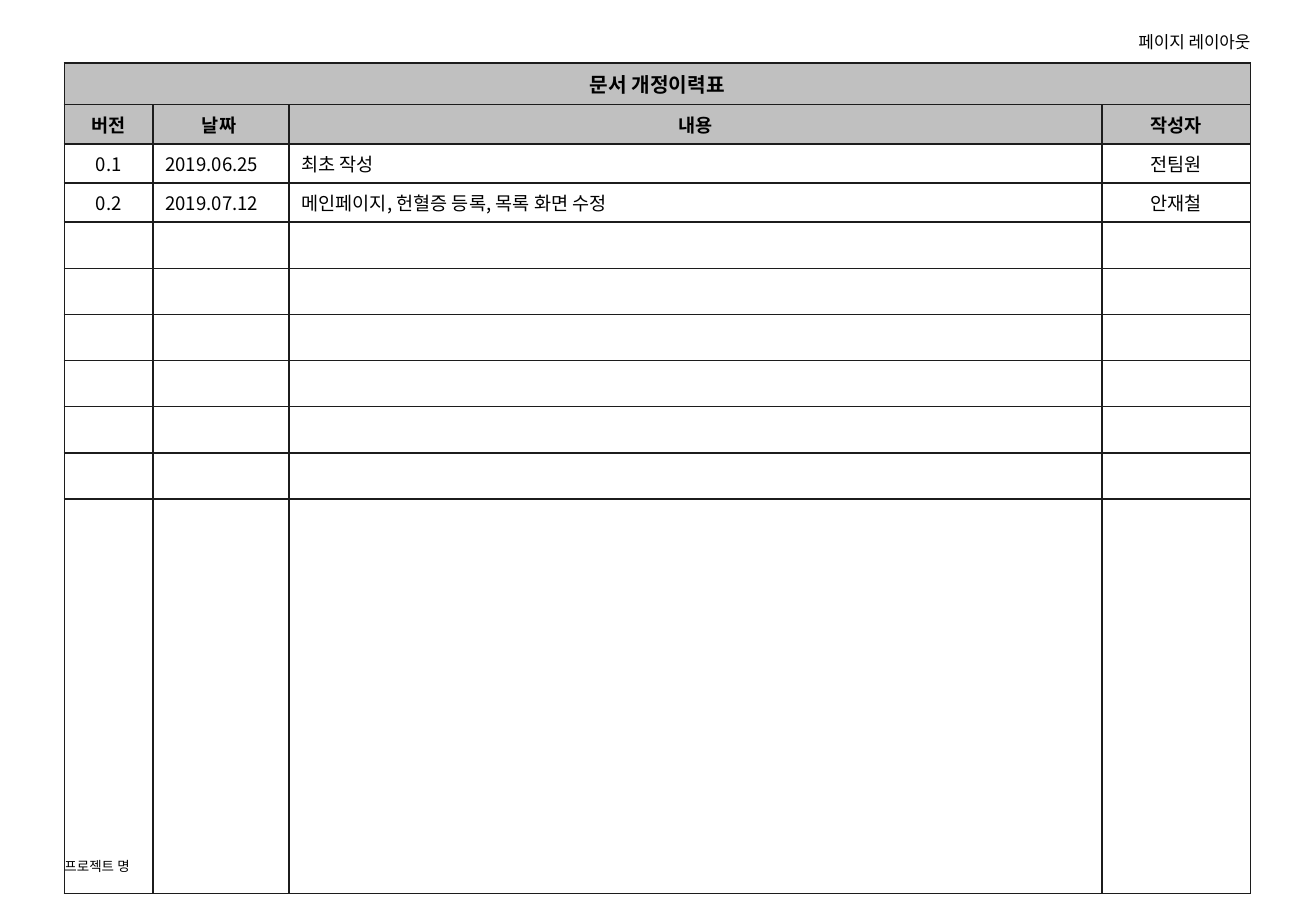
import pptx
import pptx.util
import pptx.dml.color
import pptx.enum.text
import pptx.oxml
import pptx.oxml.ns

W, H = 10.83, 7.5
FONT = "Noto Sans CJK KR"
BLACK, BORDER, GREY = "000000", "1C1C1C", "C0C0C0"
LEFT, TOP = 0.53, 0.52
COLS = [0.73, 1.12, 6.69, 1.22]
ROWS = [0.34] + [0.32] * 3 + [0.38] * 6 + [3.25]
TABLE_W = sum(COLS)
BODY_SIZE = 11

TITLE = "문서 개정이력표"
HEADERS = ["버전", "날짜 ", "내용", "작성자"]
REVISIONS = [
    ["0.1", "2019.06.25", "최초 작성", "전팀원"],
    ["0.2", "2019.07.12", "메인페이지, 헌혈증 등록, 목록 화면 수정", "안재철"],
]
ALIGN = pptx.enum.text.PP_ALIGN
MIDDLE = pptx.enum.text.MSO_ANCHOR.MIDDLE
NS = pptx.oxml.ns.nsdecls("a")


def inch(value):
    return pptx.util.Inches(value)


def color(hex_value):
    return pptx.dml.color.RGBColor.from_string(hex_value)


def write(tf, text, size, align, bold=False):
    tf.text = text
    p = tf.paragraphs[0]
    p.alignment = align
    for r in p.runs:
        r.font.size = pptx.util.Pt(size)
        r.font.bold = bold
        r.font.name = FONT
        r.font.color.rgb = color(BLACK)
        # East Asian typeface follows the Latin one
        ea = pptx.oxml.parse_xml(f'<a:ea {NS} typeface="{FONT}"/>')
        r.font._element.find(pptx.oxml.ns.qn("a:latin")).addnext(ea)


def label(sp, text, box, size, align):
    sp.left, sp.top, sp.width, sp.height = [inch(v) for v in box]
    tf = sp.text_frame
    tf.margin_left = tf.margin_right = tf.margin_top = tf.margin_bottom = 0
    tf.word_wrap = True
    tf.auto_size = pptx.enum.text.MSO_AUTO_SIZE.NONE
    tf.vertical_anchor = MIDDLE
    write(tf, text, size, align)


def style_cell(cell, fill):
    cell.vertical_anchor = MIDDLE
    if fill:
        cell.fill.solid()
        cell.fill.fore_color.rgb = color(fill)
    else:
        cell.fill.background()
    tcPr = cell._tc.get_or_add_tcPr()
    for i, side in enumerate(["lnL", "lnR", "lnT", "lnB"]):
        tcPr.insert(i, pptx.oxml.parse_xml(
            f'<a:{side} {NS} w="12700"><a:solidFill>'
            f'<a:srgbClr val="{BORDER}"/></a:solidFill></a:{side}>'))


def size_empty_cell(cell):
    # Keeps the default 18 pt line from stretching the row
    p = cell.text_frame.paragraphs[0]
    p._p.append(pptx.oxml.parse_xml(
        f'<a:endParaRPr {NS} sz="{BODY_SIZE * 100}"/>'))


def revision_table(s):
    table = s.shapes.add_table(len(ROWS), len(COLS), inch(LEFT), inch(TOP),
                               inch(TABLE_W), inch(sum(ROWS))).table
    table.first_row = table.horz_banding = False
    for column, width in zip(table.columns, COLS):
        column.width = inch(width)
    for row, height in zip(table.rows, ROWS):
        row.height = inch(height)
    for i, row in enumerate(table.rows):
        for cell in row.cells:
            style_cell(cell, GREY if i < 2 else None)
            if i >= 2 + len(REVISIONS):
                size_empty_cell(cell)

    # Heading across all columns
    table.cell(0, 0).merge(table.cell(0, len(COLS) - 1))
    write(table.cell(0, 0).text_frame, TITLE, 12, ALIGN.CENTER, True)

    # Column names and revisions
    for i, texts in enumerate([HEADERS] + REVISIONS, 1):
        for j, text in enumerate(texts):
            centred = i == 1 or j in (0, 3)
            write(table.cell(i, j).text_frame, text, BODY_SIZE,
                  ALIGN.CENTER if centred else ALIGN.LEFT, i == 1)


def main():
    prs = pptx.Presentation()
    prs.slide_width, prs.slide_height = inch(W), inch(H)
    s = prs.slides.add_slide(prs.slide_layouts[5])

    revision_table(s)

    # Project name at the foot, page title at the top right
    footer = s.shapes.add_textbox(0, 0, 0, 0)
    label(footer, "프로젝트 명", (LEFT, 7.06, 3.55, 0.14), 8, ALIGN.LEFT)
    title_w = 3.19
    label(s.shapes.title, "페이지 레이아웃",
          (LEFT + TABLE_W - title_w, 0.26, title_w, 0.17), 10, ALIGN.RIGHT)

    prs.save("out.pptx")


if __name__ == "__main__":
    main()
